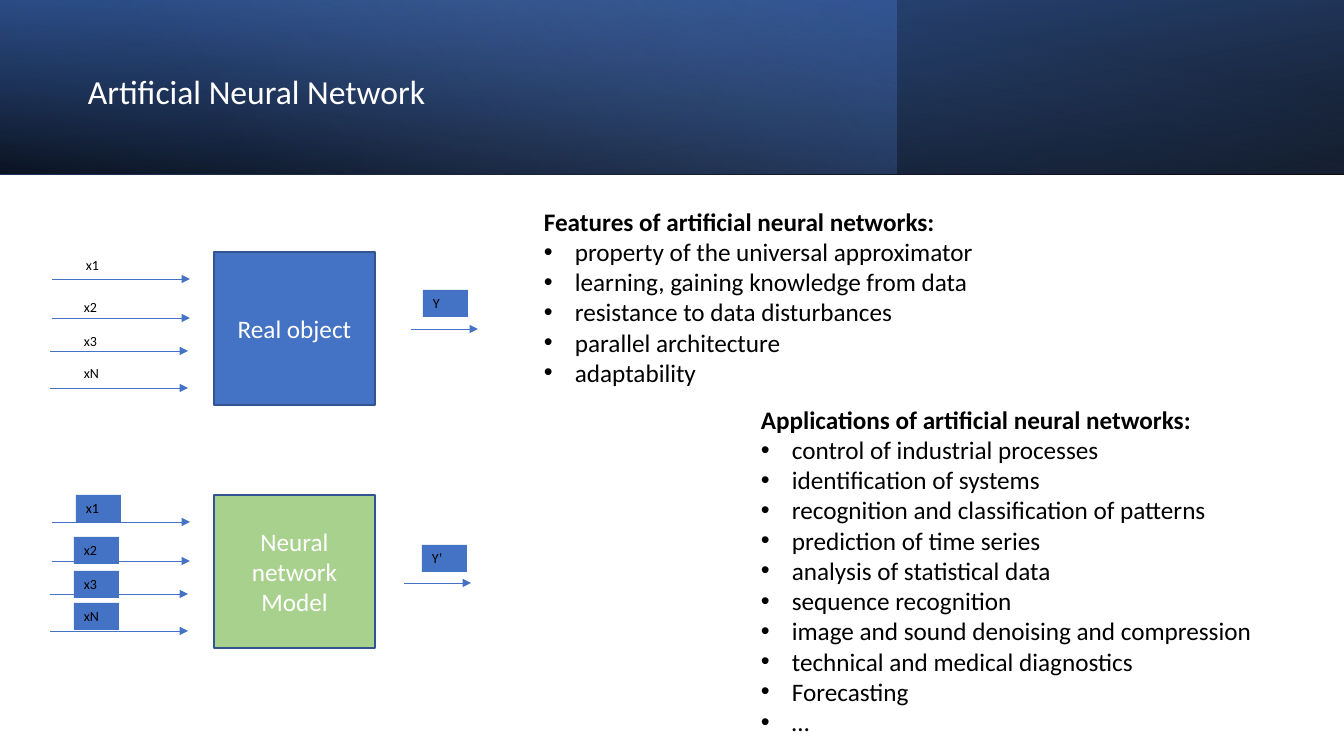
from dataclasses import dataclass

import lxml.etree
import pptx
import pptx.dml.color
import pptx.enum.shapes
import pptx.enum.text
import pptx.oxml.ns
import pptx.util

qn = pptx.oxml.ns.qn
SHAPE = pptx.enum.shapes.MSO_SHAPE
ANCHOR = pptx.enum.text.MSO_ANCHOR
ALIGN = pptx.enum.text.PP_ALIGN


@dataclass(frozen=True)
class Theme:
    font: str = "Calibri"
    white: str = "FFFFFF"
    black: str = "000000"
    blue: str = "4472C4"
    light_blue: str = "8FAADC"
    dark_blue: str = "2F5597"
    outline: str = "325491"
    green: str = "A9D18E"
    title: int = 24
    body: int = 18
    label: int = 10


def px(n):
    return pptx.util.Emu(round(n * 914400 / 100.8))


def rgb(color):
    return pptx.dml.color.RGBColor.from_string(color)


def sub(parent, tag, **attrs):
    return lxml.etree.SubElement(parent, qn(tag), {k: str(v) for k, v in attrs.items()})


class Deck:
    """Draws themed elements on the current slide, with lengths in px."""

    def __init__(self, prs, theme):
        self.prs = prs
        self.theme = theme
        self.slide = prs.slides.add_slide(prs.slide_layouts[6])

    def rect(self, x, y, w, h):
        sp = self.slide.shapes.add_shape(SHAPE.RECTANGLE, px(x), px(y), px(w), px(h))
        sp.shadow.inherit = False
        return sp

    def gradient(self, w, h, stops, angle, flip=False, rotation=0):
        sp = self.rect(0, 0, w, h)
        sp.line.fill.background()
        sp.rotation = rotation
        spPr = sp.element.spPr
        if flip:
            spPr.find(qn("a:xfrm")).set("flipH", "1")
        fill = lxml.etree.Element(qn("a:gradFill"), rotWithShape="1")
        gsLst = sub(fill, "a:gsLst")
        for pos, color, alpha in stops:
            clr = sub(sub(gsLst, "a:gs", pos=pos * 1000), "a:srgbClr", val=color)
            sub(clr, "a:alpha", val=alpha * 1000)
        sub(fill, "a:lin", ang=angle * 60000, scaled=0)
        spPr.find(qn("a:prstGeom")).addnext(fill)

    def style(self, p, size, color, bold=False):
        p.font.name = self.theme.font
        p.font.size = pptx.util.Pt(size)
        p.font.bold = bold
        p.font.color.rgb = rgb(color)

    def block(self, x, y, w, h, text, fill):
        sp = self.rect(x, y, w, h)
        sp.fill.solid()
        sp.fill.fore_color.rgb = rgb(fill)
        sp.line.color.rgb = rgb(self.theme.outline)
        sp.line.width = pptx.util.Pt(1)
        tf = sp.text_frame
        tf.word_wrap = True
        tf.vertical_anchor = ANCHOR.MIDDLE
        p = tf.paragraphs[0]
        p.text = text
        p.alignment = ALIGN.CENTER
        self.style(p, self.theme.body, self.theme.white)

    def text(self, x, y, w, h, text, size, color, bold=False, fill=None):
        sp = self.slide.shapes.add_textbox(px(x), px(y), px(w), px(h))
        if fill:
            sp.fill.solid()
            sp.fill.fore_color.rgb = rgb(fill)
        tf = sp.text_frame
        tf.word_wrap = True
        p = tf.paragraphs[0]
        p.text = text
        self.style(p, size, color, bold)
        return tf

    def bullets(self, x, y, w, h, heading, items):
        t = self.theme
        tf = self.text(x, y, w, h, heading, t.body, t.black, bold=True)
        for item in items:
            p = tf.add_paragraph()
            p.text = item
            pPr = p._p.get_or_add_pPr()
            pPr.set("marL", str(px(31)))
            pPr.set("indent", str(-px(31)))
            sub(pPr, "a:buFont", typeface="Arial")
            sub(pPr, "a:buChar", char="•")
            self.style(p, t.body, t.black)

    def label(self, x, y, text, fill=None):
        self.text(x, y, 45, 27, text, self.theme.label, self.theme.black, fill=fill)

    def arrow(self, x, y, length):
        kind = pptx.enum.shapes.MSO_CONNECTOR.STRAIGHT
        line = self.slide.shapes.add_connector(kind, px(x), px(y), px(x + length), px(y))
        line.line.color.rgb = rgb(self.theme.blue)
        line.line.width = pptx.util.Pt(0.5)
        spPr = line.element.spPr
        sub(spPr.find(qn("a:ln")), "a:tailEnd", type="triangle")
        sub(spPr, "a:effectLst")


FEATURES = [
    "property of the universal approximator",
    "learning, gaining knowledge from data",
    "resistance to data disturbances",
    "parallel architecture",
    "adaptability",
]
APPLICATIONS = [
    "control of industrial processes",
    "identification of systems",
    "recognition and classification of patterns",
    "prediction of time series",
    "analysis of statistical data",
    "sequence recognition",
    "image and sound denoising and compression",
    "technical and medical diagnostics",
    "Forecasting",
    "…",
]
INPUTS = [
    ("x1", 76, 0, 52, 27),
    ("x2", 74, 42, 52, 66),
    ("x3", 74, 76, 50, 99),
    ("xN", 74, 108, 50, 136),
]


def main():
    prs = pptx.Presentation()
    prs.slide_width, prs.slide_height = px(1344), px(756)
    t = Theme()
    deck = Deck(prs, t)

    deck.gradient(1344, 174, [(0, t.black, 96), (100, t.dark_blue, 100)], 100, True, 180)
    deck.gradient(897, 174, [(0, t.blue, 41), (74, t.light_blue, 0)], 140)
    deck.gradient(1344, 174, [(0, t.black, 63), (78, t.blue, 15)], 260, True)
    title = deck.text(78, 27, 1007, 128, "Artificial Neural Network", t.title, t.white)
    title.vertical_anchor = ANCHOR.MIDDLE

    deck.bullets(534, 201, 509, 194, "Features of artificial neural networks:", FEATURES)
    deck.bullets(751, 399, 584, 377, "Applications of artificial neural networks:", APPLICATIONS)

    systems = [
        (252, "Real object", t.blue, None, "Y", 411, 329, 423, 290),
        (495, "Neural network Model", t.green, t.blue, "Y’", 404, 583, 422, 545),
    ]
    for top, name, fill, label_fill, out, out_x, out_y, tag_x, tag_y in systems:
        deck.block(214, top, 161, 153, name, fill)
        for _, _, _, line_x, line_dy in INPUTS:
            deck.arrow(line_x, top + line_dy, 138)
        for text, label_x, label_dy, _, _ in INPUTS:
            deck.label(label_x, top + label_dy, text, label_fill)
        deck.arrow(out_x, out_y, 67)
        deck.label(tag_x, tag_y, out, t.blue)

    prs.save("out.pptx")


if __name__ == "__main__":
    main()
